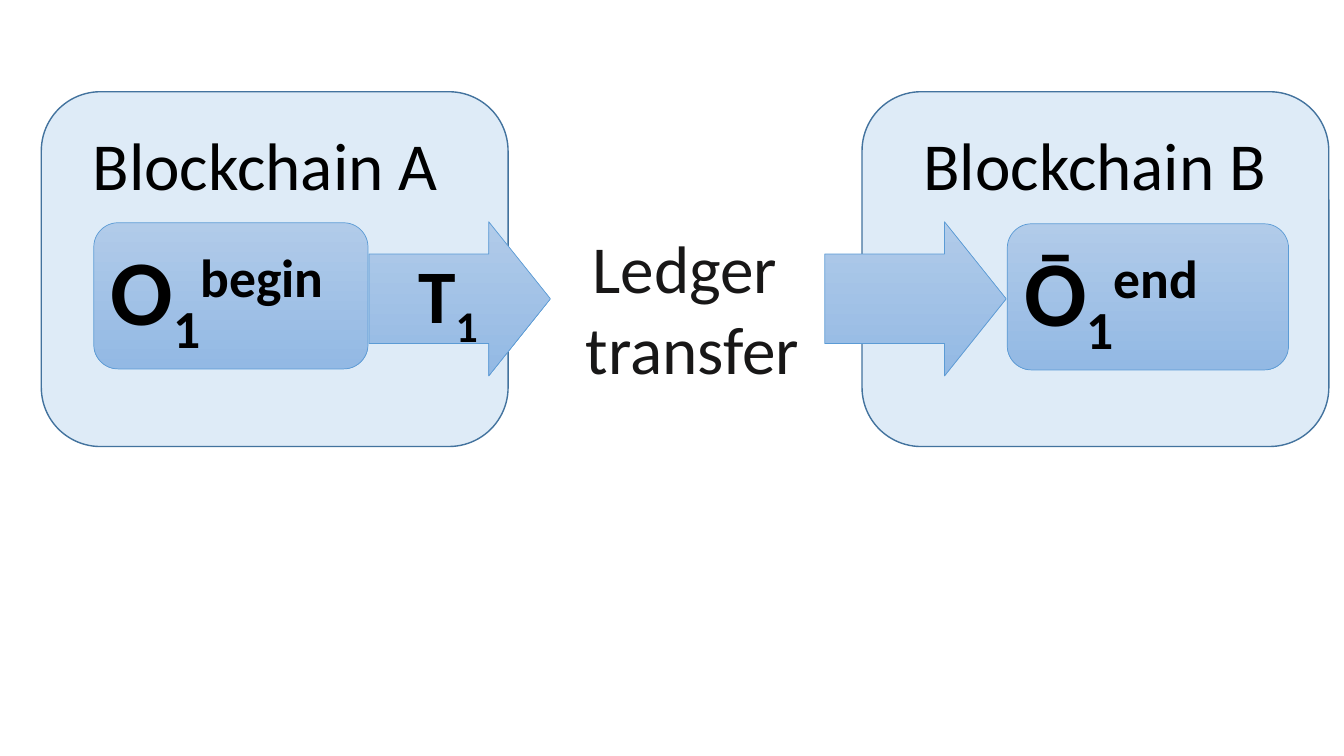
from pptx import Presentation
from pptx.dml.color import RGBColor
from pptx.enum.shapes import MSO_SHAPE
from pptx.enum.text import MSO_ANCHOR, PP_ALIGN
from pptx.util import Pt

PX = 9144
BLACK = RGBColor(0x00, 0x00, 0x00)
CHARCOAL = RGBColor(0x18, 0x17, 0x17)
PALE_BLUE = RGBColor(0xDE, 0xEB, 0xF7)
PANEL_LINE = RGBColor(0x43, 0x73, 0x9E)
TOKEN_LINE = RGBColor(0x5B, 0x9B, 0xD5)
TOKEN_TOP = RGBColor(0xB1, 0xCB, 0xE9)
TOKEN_BOTTOM = RGBColor(0x93, 0xB9, 0xE4)


def emu(*lengths):
    return [length * PX for length in lengths]


def add_outlined(slide, preset, box, line_color, line_width):
    shape = slide.shapes.add_shape(preset, *emu(*box))
    shape.shadow.inherit = False
    shape.line.color.rgb = line_color
    shape.line.width = Pt(line_width)
    return shape


def add_gradient(slide, preset, box):
    shape = add_outlined(slide, preset, box, TOKEN_LINE, 0.5)
    shape.fill.gradient()
    shape.fill.gradient_angle = 270
    for stop, color in zip(shape.fill.gradient_stops, (TOKEN_TOP, TOKEN_BOTTOM)):
        stop.color.rgb = color
    return shape


def add_arrow(slide, box):
    arrow = add_gradient(slide, MSO_SHAPE.RIGHT_ARROW, box)
    arrow.adjustments[0] = 0.58
    arrow.adjustments[1] = 0.4


def write_symbol(paragraph, size, parts):
    for text, baseline in parts:
        run = paragraph.add_run()
        run.text = text
        style_font(run.font, size, BLACK, True)
        if baseline:
            run.font._element.set("baseline", str(baseline * 1000))


def style_font(font, size, color, bold=False):
    font.name = "Calibri"
    font.size = Pt(size)
    font.bold = bold
    font.color.rgb = color


def add_label(slide, box, text, color):
    frame = slide.shapes.add_textbox(*emu(*box)).text_frame
    frame.word_wrap = True
    frame.text = text
    for run in frame.paragraphs[0].runs:
        style_font(run.font, 48, color)
    return frame


def add_blockchain(slide, box, name, name_offset, token_box, token_parts):
    left, top, width, height = box
    panel = add_outlined(slide, MSO_SHAPE.ROUNDED_RECTANGLE, box, PANEL_LINE, 1)
    panel.fill.solid()
    panel.fill.fore_color.rgb = PALE_BLUE

    dx, dy, token_width, token_height = token_box
    token = add_gradient(slide, MSO_SHAPE.ROUNDED_RECTANGLE,
                         (left + dx, top + dy, token_width, token_height))
    token.text_frame.vertical_anchor = MSO_ANCHOR.MIDDLE
    symbol = token.text_frame.paragraphs[0]
    symbol.alignment = PP_ALIGN.LEFT
    write_symbol(symbol, 66, token_parts)

    add_label(slide, (left + name_offset, top + 26, 412, 91), name, BLACK)


def add_transfer(slide, box):
    left, top, width, height = box
    arrow_width = 180
    add_arrow(slide, (left, top, arrow_width, height))

    caption = add_label(slide, (left + 81, top, 480, 172),
                        "Ledger \vtransfer", CHARCOAL)
    caption.paragraphs[0].alignment = PP_ALIGN.CENTER

    transaction = slide.shapes.add_textbox(*emu(left + 39, top + 21, 102, 202))
    transaction.text_frame.word_wrap = True
    write_symbol(transaction.text_frame.paragraphs[0], 54, [("T", 0), ("1", -25)])

    add_arrow(slide, (left + width - arrow_width, top, arrow_width, height))


def main():
    deck = Presentation()
    deck.slide_width, deck.slide_height = emu(1333, 750)
    slide = deck.slides.add_slide(deck.slide_layouts[6])
    add_blockchain(slide, (41, 91, 463, 352), "Blockchain A", 41,
                   (52, 130, 272, 145), [("O", 0), ("1", -25), ("begin", 30)])
    add_blockchain(slide, (855, 91, 463, 352), "Blockchain B", 51,
                   (144, 131, 279, 145), [("Ō", 0), ("1", -25), ("end", 30)])
    add_transfer(slide, (366, 220, 632, 153))
    deck.save("out.pptx")


if __name__ == "__main__":
    main()
